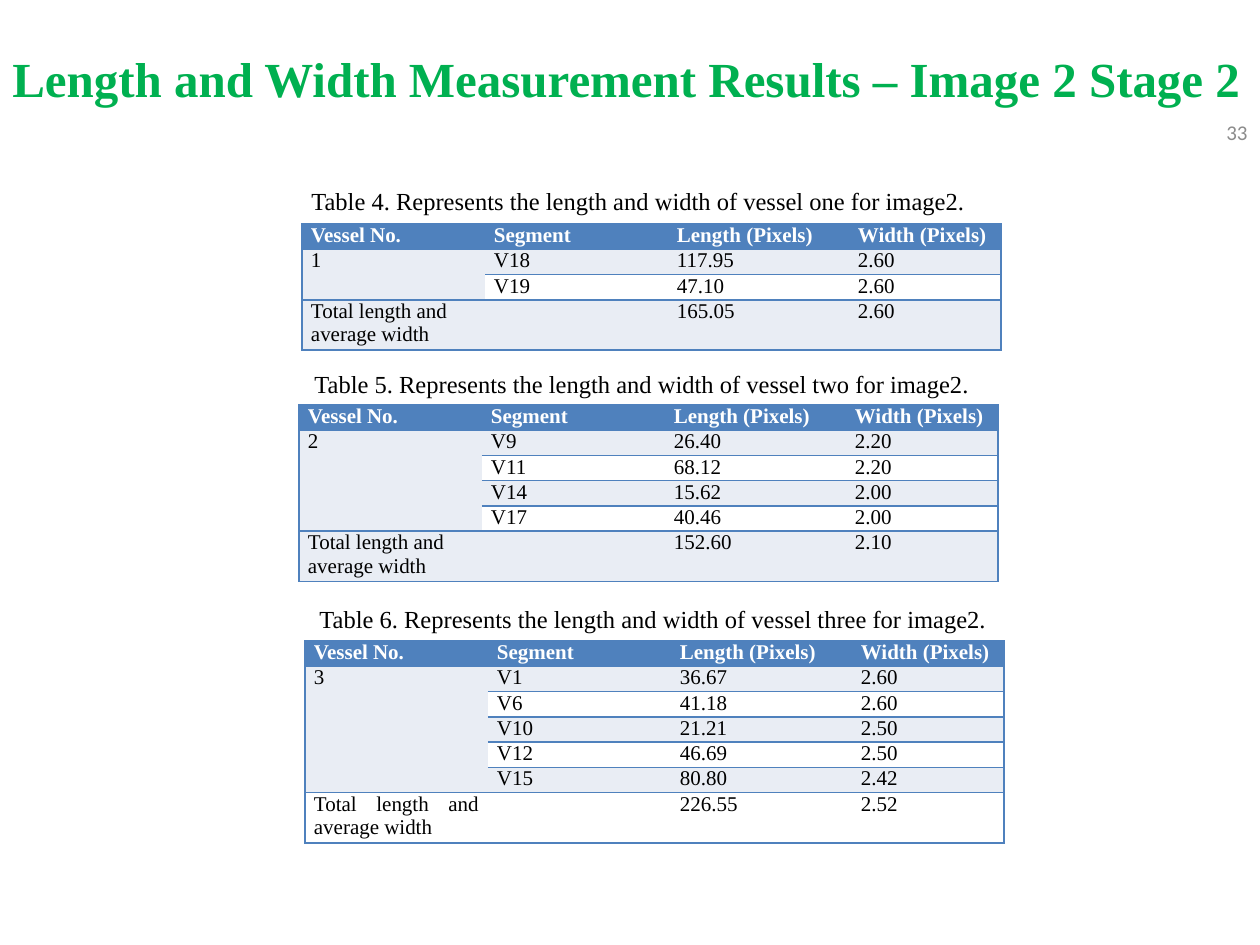
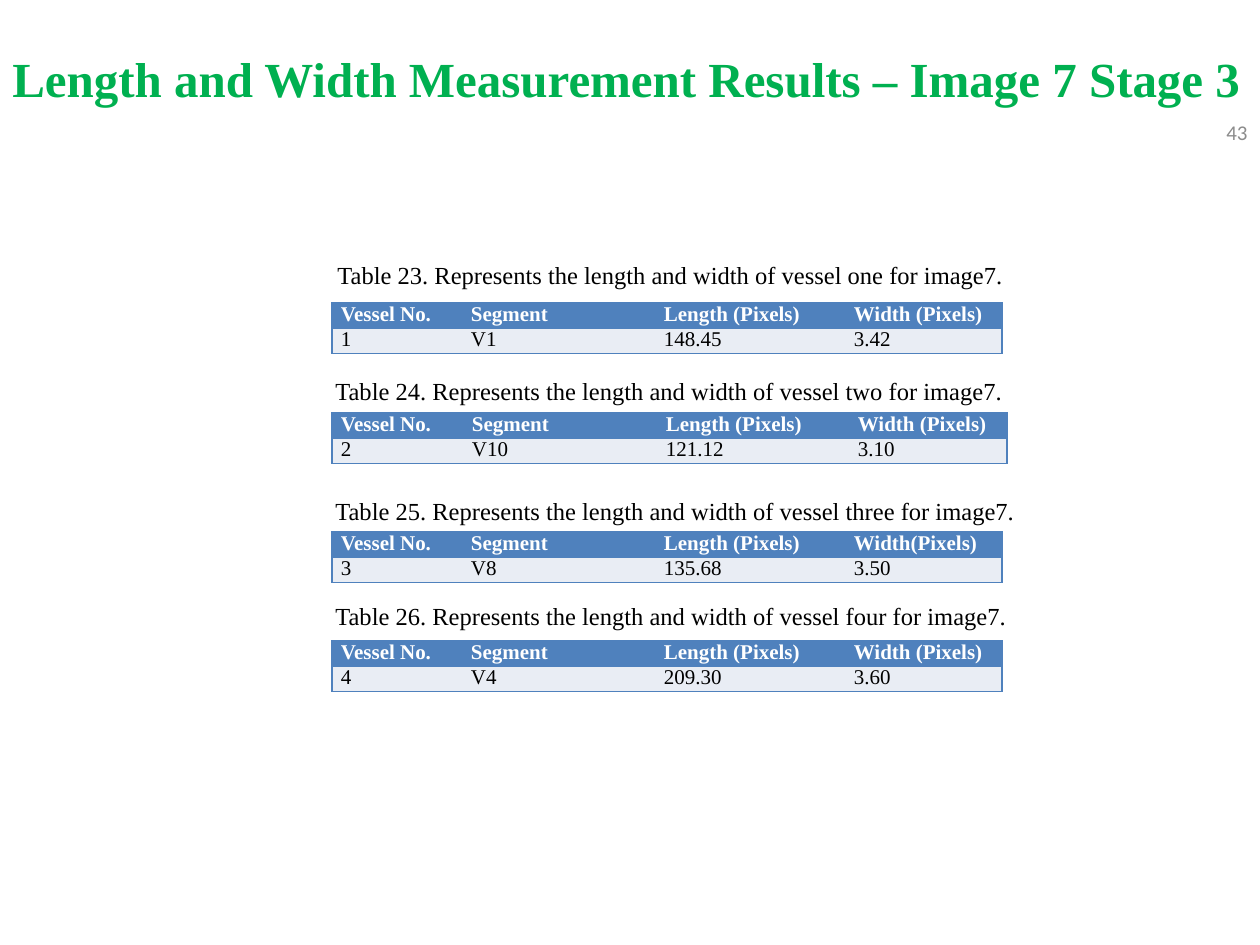
from dataclasses import dataclass

from lxml import etree
from pptx import Presentation
from pptx import util as u
from pptx.dml import color
from pptx.enum import text
from pptx.oxml import ns

PX_PER_INCH = 126
PAGE_WIDTH, PAGE_HEIGHT = 1260, 945
NO_GRID_STYLE = "{2D5ABB26-0587-4C30-8999-92F81FD0307C}"
LEFT, RIGHT, JUSTIFY = text.PP_ALIGN.LEFT, text.PP_ALIGN.RIGHT, text.PP_ALIGN.JUSTIFY
TOP, MIDDLE = text.MSO_ANCHOR.TOP, text.MSO_ANCHOR.MIDDLE


@dataclass(frozen=True)
class Theme:
    serif: str = "Times New Roman"
    sans: str = "Calibri"
    title: str = "00B050"
    ink: str = "000000"
    muted: str = "8C8C8C"
    paper: str = "FFFFFF"
    accent: str = "4F81BD"
    band: str = "E9EDF4"
    title_size: int = 28
    caption_size: int = 14
    small_size: int = 12
    border: int = 1


@dataclass(frozen=True)
class VesselTable:
    number: int
    vessel: int
    caption_at: tuple
    table_at: tuple
    columns: tuple
    segments: tuple
    total: tuple = ()
    align: text.PP_ALIGN = LEFT
    width_label: str = "Width (Pixels)"


THEME = Theme()
ORDINALS = ("one", "two", "three", "four")
WIDE = (183, 183, 181, 152)
NARROW = (130, 193, 190, 157)

STAGE_2_TABLES = (
    VesselTable(4, 1, (299, 180, 753), (302, 224), WIDE,
                (("V18", "117.95", "2.60"), ("V19", "47.10", "2.60")),
                ("165.05", "2.60")),
    VesselTable(5, 2, (302, 363, 863), (299, 405), WIDE,
                (("V9", "26.40", "2.20"), ("V11", "68.12", "2.20"),
                 ("V14", "15.62", "2.00"), ("V17", "40.46", "2.00")),
                ("152.60", "2.10")),
    VesselTable(6, 3, (307, 598, 735), (305, 641), WIDE,
                (("V1", "36.67", "2.60"), ("V6", "41.18", "2.60"),
                 ("V10", "21.21", "2.50"), ("V12", "46.69", "2.50"),
                 ("V15", "80.80", "2.42")),
                ("226.55", "2.52"), JUSTIFY),
)
STAGE_3_TABLES = (
    VesselTable(23, 1, (325, 254, 742), (332, 303), NARROW,
                (("V1", "148.45", "3.42"),)),
    VesselTable(24, 2, (323, 370, 742), (332, 413), (131, 194, 192, 158),
                (("V10", "121.12", "3.10"),)),
    VesselTable(25, 3, (323, 490, 742), (332, 532), NARROW,
                (("V8", "135.68", "3.50"),), width_label="Width(Pixels)"),
    VesselTable(26, 4, (323, 595, 742), (332, 641), NARROW,
                (("V4", "209.30", "3.60"),)),
)


def px(length):
    return u.Emu(round(length * u.Inches(1) / PX_PER_INCH))


def write(para, words, size, ink, font=THEME.serif, bold=False, align=LEFT):
    para.text = words
    para.alignment = align
    para.font.name = font
    para.font.size = u.Pt(size)
    para.font.bold = bold
    para.font.color.rgb = color.RGBColor.from_string(ink)


def add_text(page, place, words, size, ink, anchor=TOP, **style):
    box = page.shapes.add_textbox(*map(px, place))
    box.text_frame.word_wrap = True
    box.text_frame.vertical_anchor = anchor
    write(box.text_frame.paragraphs[0], words, size, ink, **style)


def add_border(cell, side):
    line = etree.SubElement(cell._tc.get_or_add_tcPr(), ns.qn(f"a:ln{side}"),
                            w=str(u.Pt(THEME.border)))
    fill = etree.SubElement(line, ns.qn("a:solidFill"))
    etree.SubElement(fill, ns.qn("a:srgbClr"), val=THEME.accent)


def style_cell(cell, words, row, sides, align):
    cell.margin_left = cell.margin_right = px(9)
    cell.margin_top = cell.margin_bottom = 0
    for side in sides:
        add_border(cell, side)
    header = row == 0
    fill = THEME.accent if header else (THEME.paper, THEME.band)[row % 2]
    cell.fill.solid()
    cell.fill.fore_color.rgb = color.RGBColor.from_string(fill)
    write(cell.text_frame.paragraphs[0], words, THEME.small_size,
          THEME.paper if header else THEME.ink, bold=header, align=align)


def table_rows(data):
    rows = [("Vessel No.", "Segment", "Length (Pixels)", data.width_label)]
    for index, segment in enumerate(data.segments):
        rows.append(("" if index else str(data.vessel), *segment))
    if data.total:
        rows.append(("Total length and average width", "", *data.total))
    return rows


def add_vessel_table(page, data):
    rows = table_rows(data)
    line_height = px(PX_PER_INCH) // 5
    last = len(data.columns) - 1
    frame = page.shapes.add_table(
        len(rows), len(data.columns), *map(px, data.table_at),
        px(sum(data.columns)), line_height * (len(rows) + bool(data.total)))
    table = frame.table
    table._tbl.tblPr.find(ns.qn("a:tableStyleId")).text = NO_GRID_STYLE
    for column, width in zip(table.columns, data.columns):
        column.width = px(width)
    for row in table.rows:
        row.height = line_height
    if data.total:
        table.rows[len(rows) - 1].height = line_height * 2
    if len(data.segments) > 1:
        table.cell(1, 0).merge(table.cell(len(data.segments), 0))
    for row, values in enumerate(rows):
        for column, words in enumerate(values):
            cell = table.cell(row, column)
            sides = "L" * (column == 0) + "R" * (column == last)
            if not cell.is_spanned:
                sides += "TB"
            style_cell(cell, words, row, sides, data.align)


def add_caption(page, data, image):
    left, top, width = data.caption_at
    words = (f"Table {data.number}. Represents the length and width of vessel "
             f"{ORDINALS[data.vessel - 1]} for image{image}.")
    add_text(page, (left, top, width, 43), words, THEME.caption_size, THEME.ink)


def add_results_page(deck, image, stage, number, tables):
    page = deck.slides.add_slide(deck.slide_layouts[6])
    add_text(page, (966, 107, 294, 50), str(number), THEME.small_size,
             THEME.muted, anchor=MIDDLE, font=THEME.sans, align=RIGHT)
    add_text(page, (0, 42, PAGE_WIDTH, 72),
             f"Length and Width Measurement Results – Image {image} Stage {stage}",
             THEME.title_size, THEME.title, bold=True, align=JUSTIFY)
    for data in tables:
        add_caption(page, data, image)
        add_vessel_table(page, data)


def main():
    deck = Presentation()
    deck.slide_width, deck.slide_height = px(PAGE_WIDTH), px(PAGE_HEIGHT)
    add_results_page(deck, 2, 2, 33, STAGE_2_TABLES)
    add_results_page(deck, 7, 3, 43, STAGE_3_TABLES)
    deck.save("out.pptx")


if __name__ == "__main__":
    main()
